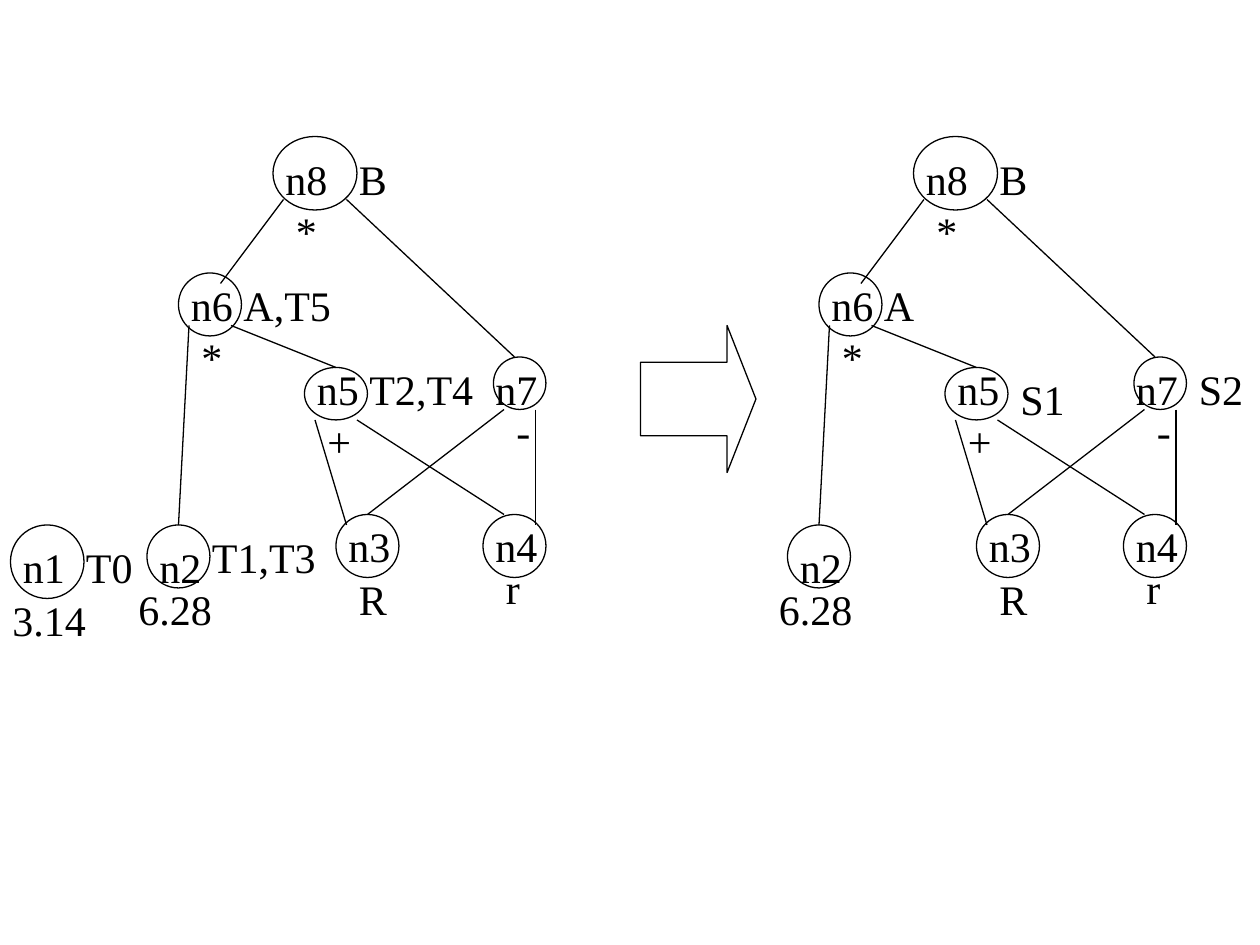
import pptx
import pptx.util
import pptx.dml.color
import pptx.enum.shapes
import pptx.enum.text
import pptx.oxml

Pt = pptx.util.Pt
BLACK = pptx.dml.color.RGBColor(0, 0, 0)
FONT = "Times New Roman"
SHAPE = pptx.enum.shapes.MSO_SHAPE

NODES = [
    ((156, 78, 48, 42), ("n8", 156, 84, 54)),
    ((102, 156, 36, 36), ("n6", 102, 156, 42)),
    ((174, 210, 36, 30), ("n5", 174, 204, 42)),
    ((282, 204, 30, 30), ("n7", 276, 204, 48)),
    ((192, 294, 36, 36), ("n3", 192, 294, 42)),
    ((276, 294, 36, 36), ("n4", 276, 294, 42)),
    ((84, 300, 36, 36), ("n2", 84, 306, 42)),
]
LABELS = [
    ("B", 198, 84, 42),
    ("*", 162, 114, 42),
    ("*", 108, 186, 42),
    ("+", 180, 234, 42),
    ("-", 288, 228, 36),
    ("6.28", 72, 330, 72),
    ("R", 198, 324, 36),
    ("r", 282, 318, 30),
]
EDGES = [
    (108, 186, 102, 300),
    (132, 186, 192, 210),
    (204, 240, 288, 294),
    (180, 240, 198, 300),
    (210, 294, 288, 234),
    (306, 234, 306, 300),
    (294, 204, 198, 114),
    (162, 114, 126, 162),
]
FIRST = [((6, 300, 42, 42), ("n1", 6, 306, 60))]
BEFORE = [
    ("3.14", 0, 336, 60),
    ("T0", 42, 306, 48),
    ("T1,T3", 114, 300, 90),
    ("T2,T4", 204, 204, 78),
    ("A,T5", 132, 156, 84),
]
AFTER = [
    ("A", 132, 156, 84),
    ("S1", 210, 210, 54),
    ("S2", 312, 204, 42),
]
SHIFT = 366
ARROW = (366, 186, 66, 84)


def outline(shape):
    shape.line.color.rgb = BLACK
    shape.line.width = Pt(0.75)


def draw(shapes, kind, box):
    shape = shapes.add_shape(kind, *map(Pt, box))
    shape.shadow.inherit = False
    shape.fill.background()
    outline(shape)
    return shape


def write(shapes, text, left, top, width):
    frame = shapes.add_textbox(Pt(left), Pt(top), Pt(width), Pt(36)).text_frame
    frame.word_wrap = True
    frame.auto_size = pptx.enum.text.MSO_AUTO_SIZE.SHAPE_TO_FIT_TEXT
    para = frame.paragraphs[0]
    para.space_before = Pt(15)
    run = para.add_run()
    run.text = text
    run.font.name = FONT
    run.font.size = Pt(24)
    run.font.color.rgb = BLACK


def link(shapes, ends):
    line = shapes.add_connector(
        pptx.enum.shapes.MSO_CONNECTOR.STRAIGHT, *map(Pt, ends))
    outline(line)
    props = line._element.spPr
    props.append(pptx.oxml.parse_xml(
        '<a:effectLst xmlns:a="http://schemas.openxmlformats.org/drawingml/2006/main"/>'))


def tree(shapes, shift, nodes, labels):
    for (left, top, width, height), _ in nodes:
        draw(shapes, SHAPE.OVAL, (left + shift, top, width, height))
    names = [name for _, name in nodes]
    for text, left, top, width in names + labels:
        write(shapes, text, left + shift, top, width)
    for x1, y1, x2, y2 in EDGES:
        link(shapes, (x1 + shift, y1, x2 + shift, y2))


def main():
    deck = pptx.Presentation()
    deck.slide_width = Pt(720)
    deck.slide_height = Pt(540)
    slide = deck.slides.add_slide(deck.slide_layouts[6])
    group = slide.shapes.add_group_shape()
    tree(group.shapes, 0, NODES + FIRST, LABELS + BEFORE)
    tree(slide.shapes, SHIFT, NODES, LABELS + AFTER)
    arrow = draw(slide.shapes, SHAPE.RIGHT_ARROW, ARROW)
    arrow.adjustments[0] = 0.5
    arrow.adjustments[1] = 0.25
    deck.save("out.pptx")


if __name__ == "__main__":
    main()
